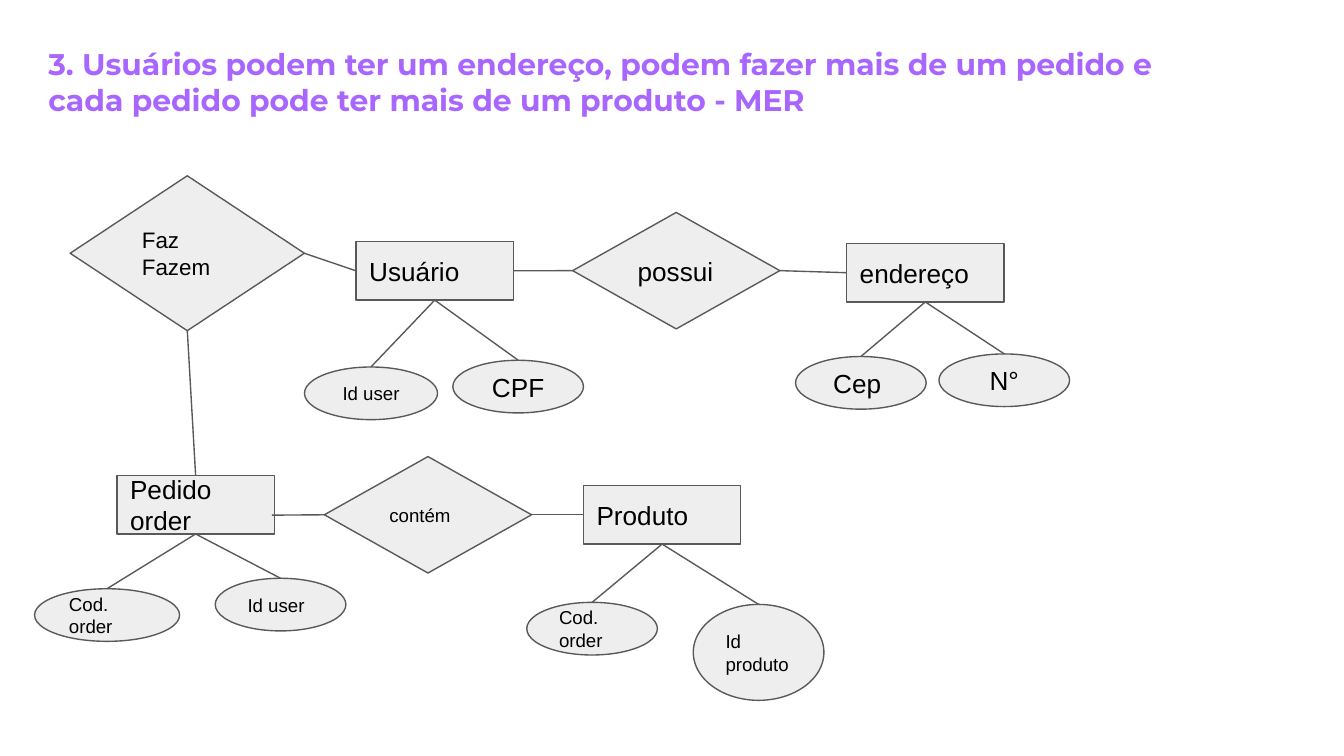
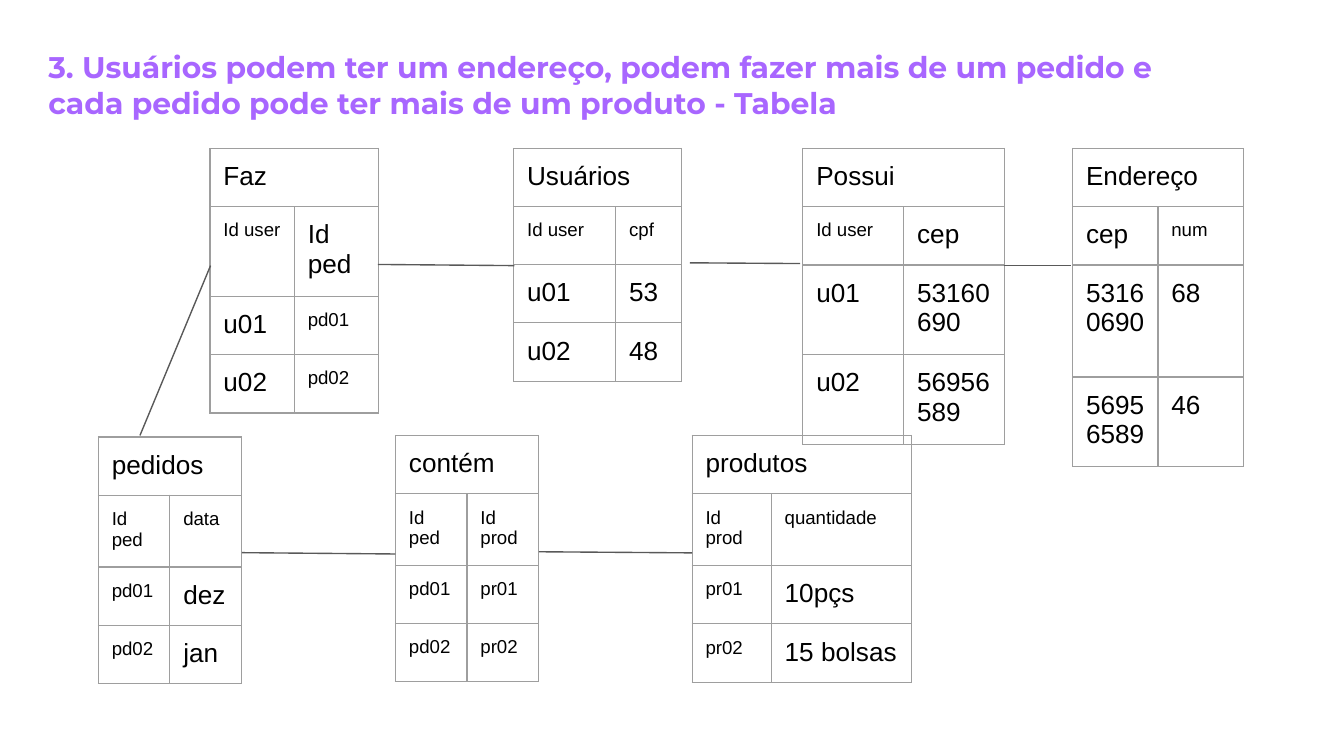
from lxml import etree
from pptx import Presentation
from pptx.dml.color import RGBColor
from pptx.enum.shapes import MSO_CONNECTOR, MSO_SHAPE
from pptx.enum.text import MSO_ANCHOR, MSO_AUTO_SIZE, PP_ALIGN
from pptx.oxml.ns import qn
from pptx.util import Pt

STRAIGHT = MSO_CONNECTOR.STRAIGHT
DIAMOND, RECT, OVAL = MSO_SHAPE.DIAMOND, MSO_SHAPE.RECTANGLE, MSO_SHAPE.OVAL
LEFT, CENTER = PP_ALIGN.LEFT, PP_ALIGN.CENTER
TOP_SITE, LEFT_SITE, BOTTOM_SITE, RIGHT_SITE = range(4)
COLORS = {"title": "A866FF", "fill": "EEEEEE", "line": "595959",
          "text": "000000", "border": "9E9E9E"}
INSET = Pt(7.2)
LINE_WIDTH = Pt(0.75)
ROW_HEIGHT = 31
TITLE = ("3. Usuários podem ter um endereço, podem fazer mais de um pedido e "
         "cada pedido pode ter mais de um produto - ")


def set_font(paragraph, name, size, color, bold=False):
    f = paragraph.font
    f.name, f.size, f.bold = name, Pt(size), bold
    f.color.rgb = RGBColor.from_string(COLORS[color])


def add_line(s, x1=0, y1=0, x2=0, y2=0):
    c = s.shapes.add_connector(STRAIGHT, Pt(x1), Pt(y1), Pt(x2), Pt(y2))
    c.line.color.rgb = RGBColor.from_string(COLORS["line"])
    c.line.width = LINE_WIDTH
    etree.SubElement(c._element.spPr, qn("a:effectLst"))
    return c


prs = Presentation()
prs.slide_width, prs.slide_height = Pt(720), Pt(405)

# Both slides share the title style
slides = []
for ending, top in (("MER", 17.3), ("Tabela", 18.7)):
    s = prs.slides.add_slide(prs.slide_layouts[5])
    title = s.shapes.title
    title.left, title.top, title.width, title.height = Pt(18.7), Pt(top), Pt(622), Pt(53.3)
    tf = title.text_frame
    tf.text = TITLE + ending
    tf.word_wrap = True
    tf.auto_size = MSO_AUTO_SIZE.SHAPE_TO_FIT_TEXT
    tf.vertical_anchor = MSO_ANCHOR.TOP
    tf.margin_left = tf.margin_right = tf.margin_top = tf.margin_bottom = INSET
    tf.paragraphs[0].alignment = LEFT
    set_font(tf.paragraphs[0], "Montserrat", 16, "title", True)
    slides.append(s)
diagram, tables = slides

# Entity-relationship diagram: key, shape, left, top, width, height, text, size, alignment
nodes = [
    ("contém", DIAMOND, 173.8, 244.6, 111, 62.4, "contém", 10, LEFT),
    ("produto", RECT, 312.5, 260.1, 84.4, 31.4, "Produto", 14, LEFT),
    ("pedido", RECT, 62.6, 254.7, 84.4, 31.4, "Pedido order", 14, LEFT),
    ("produto cod", OVAL, 282.2, 322.7, 70, 28.2, "Cod.\norder", 10, LEFT),
    ("produto id", OVAL, 371.4, 323.8, 70, 51.4, "Id produto", 10, LEFT),
    ("pedido id", OVAL, 115.3, 309.8, 70, 28.2, "Id user", 10, LEFT),
    ("pedido cod", OVAL, 18.5, 315.4, 77.7, 28.2, "Cod. order", 10, LEFT),
    ("faz", DIAMOND, 37.6, 94.2, 125.5, 83, "Faz\nFazem", 12, LEFT),
    ("usuário", RECT, 190.7, 129.4, 84.4, 31.4, "Usuário", 14, LEFT),
    ("usuário id", OVAL, 163.1, 196.6, 71.3, 28.2, "Id user", 10, CENTER),
    ("cpf", OVAL, 242.6, 193, 70, 28.2, "CPF", 14, CENTER),
    ("possui", DIAMOND, 306.8, 113.8, 111, 62.4, "possui", 14, LEFT),
    ("endereço", RECT, 453.5, 130.4, 84.4, 31.4, "endereço", 14, LEFT),
    ("cep", OVAL, 426.2, 191, 70, 28.2, "Cep ", 14, CENTER),
    ("número", OVAL, 503, 189.6, 70, 28.2, "N°", 14, CENTER),
]
node = {}
for key, kind, x, y, w, h, text, size, align in nodes:
    sp = diagram.shapes.add_shape(kind, Pt(x), Pt(y), Pt(w), Pt(h))
    sp.shadow.inherit = False
    sp.fill.solid()
    sp.fill.fore_color.rgb = RGBColor.from_string(COLORS["fill"])
    sp.line.color.rgb = RGBColor.from_string(COLORS["line"])
    sp.line.width = LINE_WIDTH
    tf = sp.text_frame
    tf.text = text
    tf.word_wrap = True
    tf.vertical_anchor = MSO_ANCHOR.MIDDLE
    tf.margin_left = tf.margin_right = tf.margin_top = tf.margin_bottom = INSET
    for p in tf.paragraphs:
        p.alignment = align
        set_font(p, "Arial", size, "text")
    node[key] = sp

attributes = {"pedido": ("pedido cod", "pedido id"), "produto": ("produto cod", "produto id"),
              "usuário": ("usuário id", "cpf"), "endereço": ("cep", "número")}
links = [(entity, BOTTOM_SITE, attribute, TOP_SITE)
         for entity, names in attributes.items() for attribute in names]
links += [(a, RIGHT_SITE, b, LEFT_SITE) for a, b in (
    ("faz", "usuário"), ("usuário", "possui"), ("possui", "endereço"), ("contém", "produto"))]
links.append(("faz", BOTTOM_SITE, "pedido", TOP_SITE))
for start, start_site, end, end_site in links:
    c = add_line(diagram)
    c.begin_connect(node[start], start_site)
    c.end_connect(node[end], end_site)
add_line(diagram, 145.6, 276, 173.8, 275.8).end_connect(node["contém"], LEFT_SITE)

# Tables: left, top, column widths, heading, rows, text sizes by row
grids = [
    (211.9, 233.3, (38.3, 38.3), "contém",
     [("Id ped", "Id prod"), ("pd01", "pr01"), ("pd02", "pr02")],
     [(10, 10), (10, 10), (10, 10)]),
    (370.8, 233.3, (42.4, 75), "produtos",
     [("Id prod", "quantidade"), ("pr01", "10pçs"), ("pr02", "15 bolsas")],
     [(10, 10), (10, 14), (10, 14)]),
    (112.5, 79.5, (45.2, 45.2), "Faz",
     [("Id user", "Id ped"), ("u01", "pd01"), ("u02", "pd02")],
     [(10, 14), (14, 10), (14, 10)]),
    (275.2, 79.5, (54.7, 35.4), "Usuários",
     [("Id user", "cpf"), ("u01", "53"), ("u02", "48")],
     [(10, 10), (14, 14), (14, 14)]),
    (430.1, 79.5, (54, 54), "Possui",
     [("Id user", "cep"), ("u01", "53160690"), ("u02", "56956589")],
     [(10, 14), (14, 14), (14, 14)]),
    (52.7, 234.1, (38.3, 38.3), "pedidos",
     [("Id ped", "data"), ("pd01", "dez"), ("pd02", "jan")],
     [(10, 10), (10, 14), (10, 14)]),
    (574.6, 79.5, (45.7, 45.7), "Endereço",
     [("cep", "num"), ("53160690", "68"), ("56956589", "46")],
     [(14, 10), (14, 14), (14, 14)]),
]
for x, y, widths, heading, rows, sizes in grids:
    count = len(rows) + 1
    table = tables.shapes.add_table(count, 2, Pt(x), Pt(y), Pt(sum(widths)),
                                    Pt(ROW_HEIGHT * count)).table
    table.first_row = table.horz_banding = False
    for column, width in zip(table.columns, widths):
        column.width = Pt(width)
    if heading == "Endereço":
        table.rows[2].height = Pt(60)
    table.cell(0, 0).merge(table.cell(0, 1))
    texts = [(heading, "")] + rows
    for i, row_sizes in enumerate([(14, 14)] + sizes):
        for j, size in enumerate(row_sizes):
            cell = table.cell(i, j)
            cell.margin_left = cell.margin_right = INSET
            cell.margin_top = cell.margin_bottom = INSET
            cell.fill.background()
            if not cell.is_spanned:
                cell.text = texts[i][j]
            set_font(cell.text_frame.paragraphs[0], "Arial", size, "text")
            tcPr = cell._tc.get_or_add_tcPr()
            for n, side in enumerate(("a:lnL", "a:lnR", "a:lnT", "a:lnB")):
                ln = etree.Element(qn(side), w=str(LINE_WIDTH))
                fill = etree.SubElement(ln, qn("a:solidFill"))
                etree.SubElement(fill, qn("a:srgbClr"), val=COLORS["border"])
                tcPr.insert(n, ln)

for ends in (
    (288.7, 295.6, 370.8, 296.2),
    (75, 233.3, 112.8, 142.3),
    (202.5, 141.7, 275.6, 142.3),
    (369.6, 140.8, 428.6, 141.2),
    (129.6, 296.1, 211.8, 296.8),
    (537.6, 142.3, 573.8, 142.3),
):
    add_line(tables, *ends)

prs.save("out.pptx")
